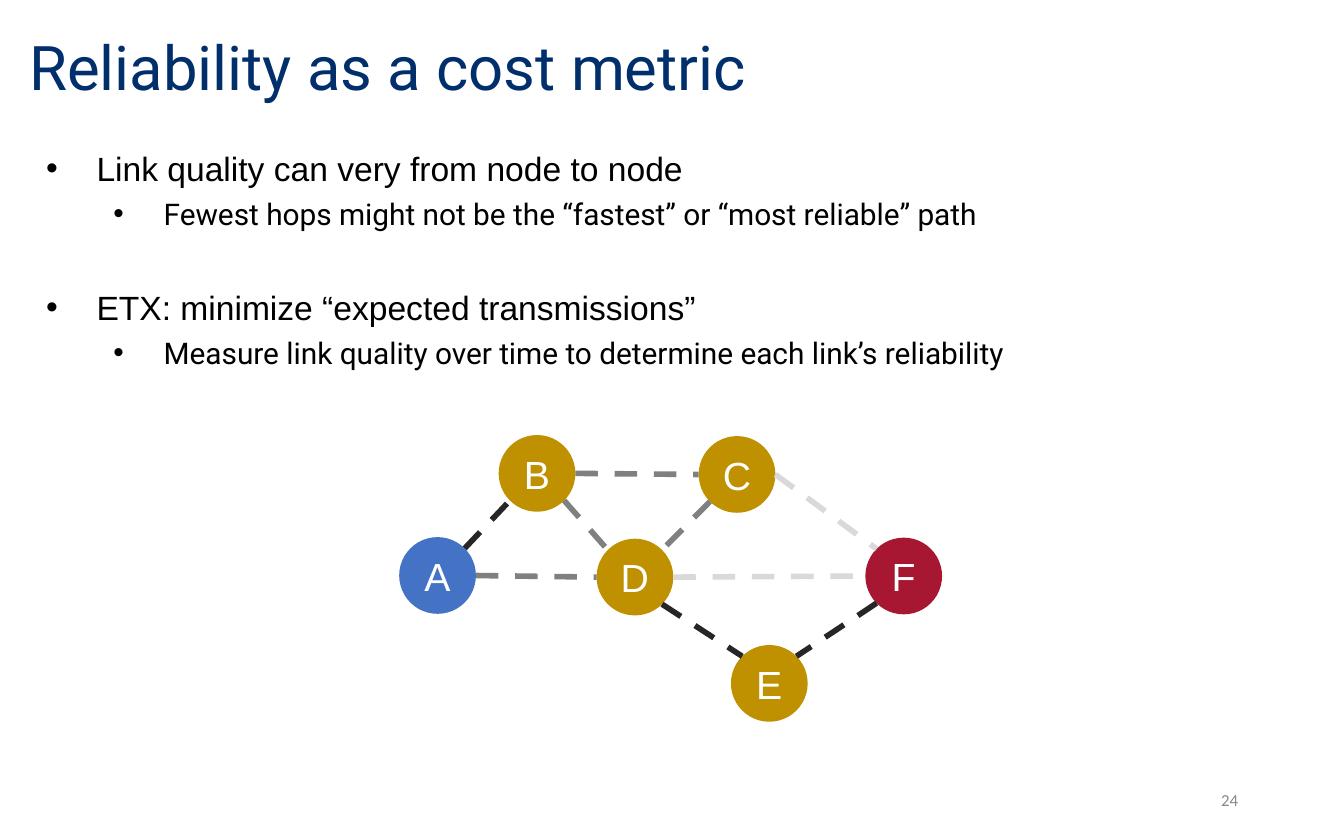
import math
from dataclasses import dataclass

import lxml.etree
import pptx
import pptx.dml.color
import pptx.enum.dml
import pptx.enum.shapes
import pptx.enum.text
import pptx.oxml.ns
import pptx.util

Cm, Pt = pptx.util.Cm, pptx.util.Pt
RGB = pptx.dml.color.RGBColor.from_string
Align = pptx.enum.text.PP_ALIGN
Anchor = pptx.enum.text.MSO_ANCHOR
qn = pptx.oxml.ns.qn


@dataclass
class Theme:
    navy: str = "002F6C"
    black: str = "000000"
    white: str = "FFFFFF"
    blue: str = "4472C4"
    gold: str = "BF9000"
    red: str = "A71732"
    strong: str = "262626"
    fair: str = "808080"
    weak: str = "D9D9D9"
    muted: str = "888888"
    title: float = 33
    node: float = 21
    main: float = 18
    sub: float = 16
    page: float = 9


theme = Theme()


def style(para, face, size, color):
    font = para.font
    font.name, font.size = face, Pt(size)
    font.color.rgb = RGB(color)


def place(shape, left, top, width, height):
    shape.left, shape.top = Cm(left), Cm(top)
    shape.width, shape.height = Cm(width), Cm(height)


deck = pptx.Presentation()
deck.slide_width, deck.slide_height = Cm(25.4), Cm(15.88)
slide = deck.slides.add_slide(deck.slide_layouts[1])
shapes = slide.shapes

# Title
title = shapes.title
place(title, 0.3, 0.25, 21.64, 2.18)
frame = title.text_frame
frame.text = "Reliability as a cost metric"
frame.vertical_anchor = Anchor.MIDDLE
frame.auto_size = pptx.enum.text.MSO_AUTO_SIZE.NONE
para = frame.paragraphs[0]
para.alignment = Align.LEFT
para.line_spacing = 0.9
style(para, "Roboto", theme.title, theme.navy)

# Bullet list: level, space before, text
points = [
    (0, 0, "Link quality can very from node to node"),
    (1, 3.8, "Fewest hops might not be the “fastest” or “most reliable” path"),
    (0, 30, "ETX: minimize “expected transmissions”"),
    (1, 3.8, "Measure link quality over time to determine each link’s reliability"),
]
faces = [("Arial", theme.main), ("Roboto", theme.sub)]
body = slide.placeholders[1]
place(body, 0.3, 2.67, 24.82, 11.63)
frame = body.text_frame
frame.auto_size = pptx.enum.text.MSO_AUTO_SIZE.NONE
for i, (level, gap, text) in enumerate(points):
    para = frame.add_paragraph() if i else frame.paragraphs[0]
    para.text, para.level = text, level
    props = para._p.get_or_add_pPr()
    props.set("marL", str(Cm(1.27 * (level + 1))))
    props.set("indent", str(-Cm(0.95)))
    tint = lxml.etree.SubElement(props, qn("a:buClr"))
    lxml.etree.SubElement(tint, qn("a:srgbClr"), val=theme.black)
    lxml.etree.SubElement(props, qn("a:buFont"), typeface="Arial")
    lxml.etree.SubElement(props, qn("a:buChar"), char="•")
    para.space_before = Pt(gap)
    style(para, *faces[level], theme.black)

# Page number
page = shapes.add_textbox(Cm(17.93), Cm(14.71), Cm(5.72), Cm(0.84))
frame = page.text_frame
frame.word_wrap = True
frame.vertical_anchor = Anchor.MIDDLE
para = frame.paragraphs[0]
para.text = "24"
para.alignment = Align.RIGHT
style(para, "Calibri", theme.page, theme.muted)

# Network nodes: centre and fill
size = 1.45
nodes = {
    "A": (8.27, 10.88, theme.blue),
    "B": (10.15, 8.95, theme.gold),
    "C": (13.93, 8.97, theme.gold),
    "D": (12, 10.91, theme.gold),
    "E": (14.54, 12.92, theme.gold),
    "F": (17.08, 10.89, theme.red),
}
for name, (x, y, fill) in nodes.items():
    node = shapes.add_shape(
        pptx.enum.shapes.MSO_SHAPE.OVAL,
        Cm(x - size / 2), Cm(y - size / 2), Cm(size), Cm(size))
    node.shadow.inherit = False
    node.fill.solid()
    node.fill.fore_color.rgb = RGB(fill)
    node.line.fill.background()
    frame = node.text_frame
    frame.margin_left = frame.margin_right = 0
    frame.margin_top = frame.margin_bottom = 0
    frame.vertical_anchor = Anchor.MIDDLE
    para = frame.paragraphs[0]
    para.text = name
    para.alignment = Align.CENTER
    style(para, "Arial", theme.node, theme.white)

# Links: node and angle on its rim (degrees, clockwise from right) at each end
links = [
    ("A", -45, "B", 135, theme.strong),
    ("B", 0, "C", 180, theme.fair),
    ("B", 45, "D", -135, theme.fair),
    ("C", 135, "D", -45, theme.fair),
    ("C", 0, "F", -135, theme.weak),
    ("D", 0, "F", 180, theme.weak),
    ("D", 45, "E", -135, theme.strong),
    ("F", 135, "E", -45, theme.strong),
    ("A", 0, "D", 180, theme.fair),
]
for start, out, end, into, color in links:
    ends = []
    for name, angle in ((start, out), (end, into)):
        x, y, _ = nodes[name]
        turn = math.radians(angle)
        ends += [Cm(x + size / 2 * math.cos(turn)),
                 Cm(y + size / 2 * math.sin(turn))]
    link = shapes.add_connector(pptx.enum.shapes.MSO_CONNECTOR.STRAIGHT, *ends)
    link.line.color.rgb = RGB(color)
    link.line.width = Pt(3)
    link.line.dash_style = pptx.enum.dml.MSO_LINE.DASH
    lxml.etree.SubElement(link._element.spPr, qn("a:effectLst"))

deck.save("out.pptx")
